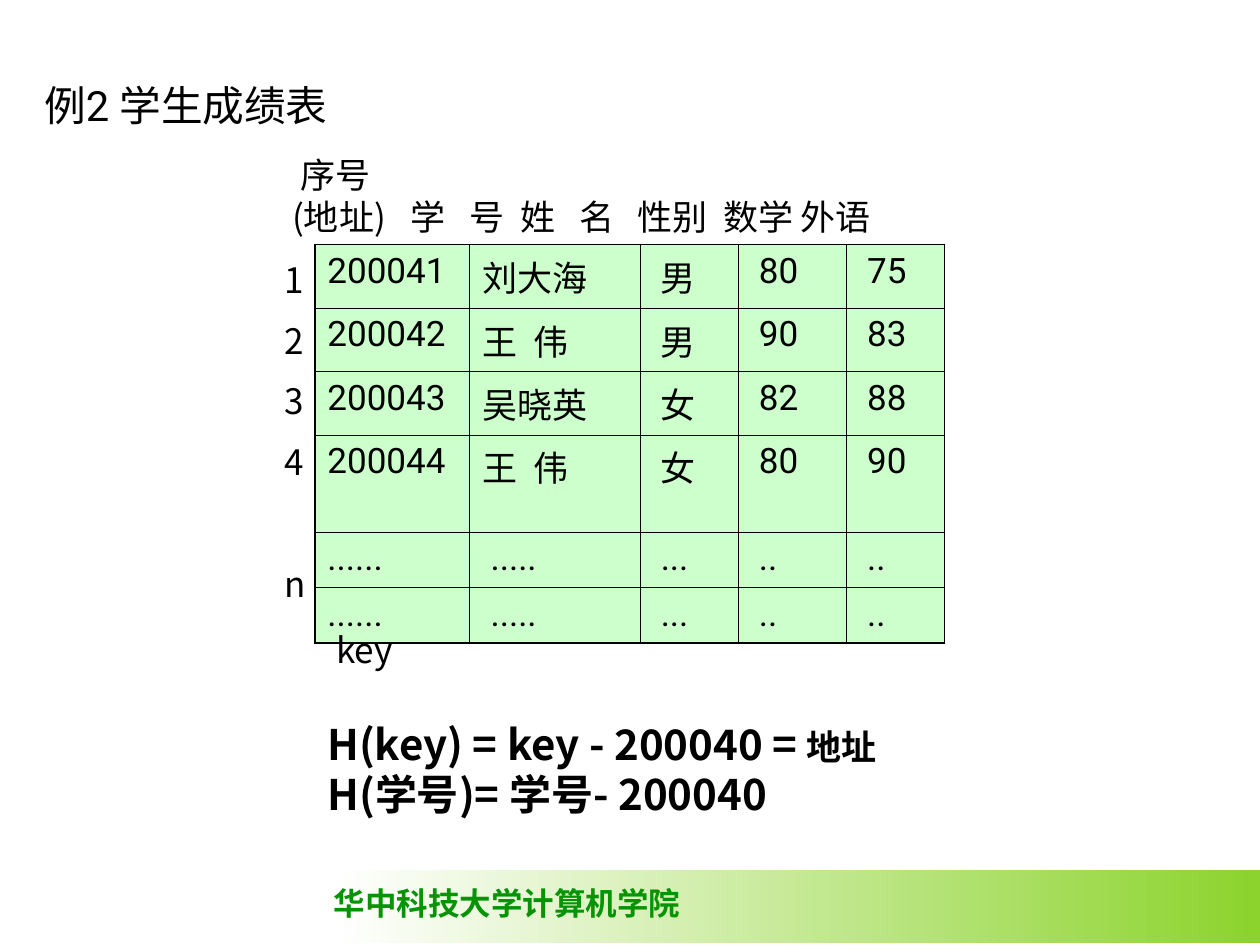
from dataclasses import dataclass
from typing import Optional

from lxml import etree
from pptx import Presentation
from pptx import util as u
from pptx.dml.color import RGBColor
from pptx.enum import shapes, text
from pptx.oxml import ns

BLACK = RGBColor(0x00, 0x00, 0x00)
WHITE = RGBColor(0xFF, 0xFF, 0xFF)
LIME = RGBColor(0x8C, 0xD3, 0x2D)
GREEN = RGBColor(0x06, 0x94, 0x06)
MINT = RGBColor(0xCC, 0xFF, 0xCC)

CJK = "Noto Sans CJK SC"
LATIN = "Roboto"
FOOTER_FONT = "Times New Roman"

OUTER_PT, INNER_PT = 1.08, 0.45
COL_CM = (3.12, 3.43, 1.98, 2.18, 1.98)
ROW_CM = (1.12, 1.12, 1.12, 1.96, 1.12, 1.12)
NAME_TAB = (1.04,)
DOTS = ("......", ".....", "...", "..", "..")
STUDENTS = (
    ("200041", "刘大海", "男", "80", "75"),
    ("200042", "王\t伟", "男", "90", "83"),
    ("200043", "吴晓英", "女", "82", "88"),
    ("200044", "王\t伟", "女", "80", "90"),
    DOTS,
    DOTS,
)


@dataclass(frozen=True)
class Run:
    text: str
    size: float = 20
    bold: bool = False
    font: str = CJK
    color: RGBColor = BLACK


@dataclass(frozen=True)
class Para:
    runs: tuple[Run, ...]
    line: Optional[float] = None
    before: float = 0
    indent: float = 0
    tabs: tuple[float, ...] = ()


@dataclass(frozen=True)
class Box:
    left: float
    top: float
    width: float
    height: float
    paras: tuple[Para, ...]
    wrap: bool = False


def write_para(p, para: Para) -> None:
    pPr = p._p.get_or_add_pPr()
    if para.indent:
        pPr.set("marL", str(u.Cm(para.indent)))
    if para.tabs:
        tabs = etree.SubElement(pPr, ns.qn("a:tabLst"))
        for pos in para.tabs:
            etree.SubElement(tabs, ns.qn("a:tab"), pos=str(u.Cm(pos)), algn="l")
    fmt = {
        "alignment": text.PP_ALIGN.LEFT,
        "space_before": u.Pt(para.before),
        "line_spacing": u.Pt(para.line) if para.line else None,
    }
    for name, value in fmt.items():
        setattr(p, name, value)
    for run in para.runs:
        r = p.add_run()
        r.text = run.text
        fmt = {"size": u.Pt(run.size), "bold": run.bold, "name": run.font}
        for name, value in fmt.items():
            setattr(r.font, name, value)
        r.font.color.rgb = run.color
        etree.SubElement(r._r.get_or_add_rPr(), ns.qn("a:ea"), typeface=CJK)


def write_frame(tf, paras: tuple[Para, ...]) -> None:
    for i, para in enumerate(paras):
        write_para(tf.add_paragraph() if i else tf.paragraphs[0], para)


def add_box(s, box: Box) -> None:
    sp = s.shapes.add_textbox(*map(u.Cm, (box.left, box.top, box.width, box.height)))
    sp.text_frame.word_wrap = box.wrap
    write_frame(sp.text_frame, box.paras)


def add_footer_band(s) -> None:
    sp = s.shapes.add_shape(
        shapes.MSO_SHAPE.RECTANGLE, u.Cm(6.78), u.Cm(17.54), u.Cm(18.62), u.Cm(1.48)
    )
    sp.shadow.inherit = False
    sp.line.fill.background()
    sp.fill.gradient()
    sp.fill.gradient_angle = 0
    for stop, color, pos in zip(sp.fill.gradient_stops, (WHITE, LIME), (0, 1)):
        stop.color.rgb = color
        stop.position = pos


def set_title(s) -> None:
    sp = s.shapes.title
    place = {"left": 0.64, "top": 1.47, "width": 23.5, "height": 1.27}
    for name, value in place.items():
        setattr(sp, name, u.Cm(value))
    fmt = {
        "word_wrap": True,
        "auto_size": text.MSO_AUTO_SIZE.NONE,
        "vertical_anchor": text.MSO_ANCHOR.MIDDLE,
    }
    for name, value in fmt.items():
        setattr(sp.text_frame, name, value)
    write_frame(sp.text_frame, (Para((Run("例2 学生成绩表", 23.8, font=LATIN),)),))


def set_borders(cell, widths: dict[str, float]) -> None:
    tcPr = cell._tc.get_or_add_tcPr()
    for i, (tag, width) in enumerate(widths.items()):
        ln = etree.Element(ns.qn(tag), w=str(u.Pt(width)))
        fill = etree.SubElement(ln, ns.qn("a:solidFill"))
        etree.SubElement(fill, ns.qn("a:srgbClr"), val=str(BLACK))
        tcPr.insert(i, ln)


def add_score_table(s) -> None:
    rows, cols = len(ROW_CM), len(COL_CM)
    tbl = s.shapes.add_table(
        rows, cols, u.Cm(6.35), u.Cm(4.93), u.Cm(sum(COL_CM)), u.Cm(sum(ROW_CM))
    ).table
    tbl.first_row = tbl.horz_banding = False
    for col, width in zip(tbl.columns, COL_CM):
        col.width = u.Cm(width)
    for row, height in zip(tbl.rows, ROW_CM):
        row.height = u.Cm(height)
    for i, values in enumerate(STUDENTS):
        for j, value in enumerate(values):
            cell = tbl.cell(i, j)
            cell.fill.solid()
            cell.fill.fore_color.rgb = MINT
            shifted = j > 1 or (j == 1 and values is DOTS)
            cell.margin_left = u.Cm(0.42 if shifted else 0.25)
            edges = {
                "a:lnL": j == 0,
                "a:lnR": j == cols - 1,
                "a:lnT": i == 0,
                "a:lnB": i == rows - 1,
            }
            set_borders(cell, {k: OUTER_PT if v else INNER_PT for k, v in edges.items()})
            tabs = NAME_TAB if "\t" in value else ()
            write_frame(cell.text_frame, (Para((Run(value, font=LATIN),), tabs=tabs),))


BOXES = (
    Box(6.48, 17.7, 7.49, 1.02, (
        Para((Run("华中科技大学计算机学院", 18, True, FOOTER_FONT, GREEN),)),
    )),
    Box(5.49, 4.7, 1.09, 7.62, tuple(
        Para((Run(label),), line=34.8, before=34.8 if label == "n" else 0)
        for label in "1234n"
    )),
    Box(6.53, 12.54, 1.65, 1.12, (Para((Run("key"),), line=24),)),
    Box(5.64, 2.96, 12.19, 1.96, (
        Para((Run("序号"),), line=24, indent=0.16),
        Para(
            (Run("(地址)\t学\t号\t姓\t名\t性别\t数学\t外语"),),
            line=24,
            tabs=(2.39, 3.58, 4.6, 5.8, 6.96, 8.69, 10.24),
        ),
    )),
    Box(6.35, 14.36, 12.7, 2.29, (
        Para((Run("H(key) = key - 200040 = ", 24, True), Run("地址", 20, True)), line=28.8),
        Para((Run("H(学号)= 学号- 200040", 24, True),), line=28.8),
    ), wrap=True),
)


def main() -> None:
    prs = Presentation()
    prs.slide_width, prs.slide_height = u.Cm(25.4), u.Cm(19.05)
    s = prs.slides.add_slide(prs.slide_layouts[5])
    add_footer_band(s)
    set_title(s)
    add_score_table(s)
    for box in BOXES:
        add_box(s, box)
    prs.save("out.pptx")


if __name__ == "__main__":
    main()
